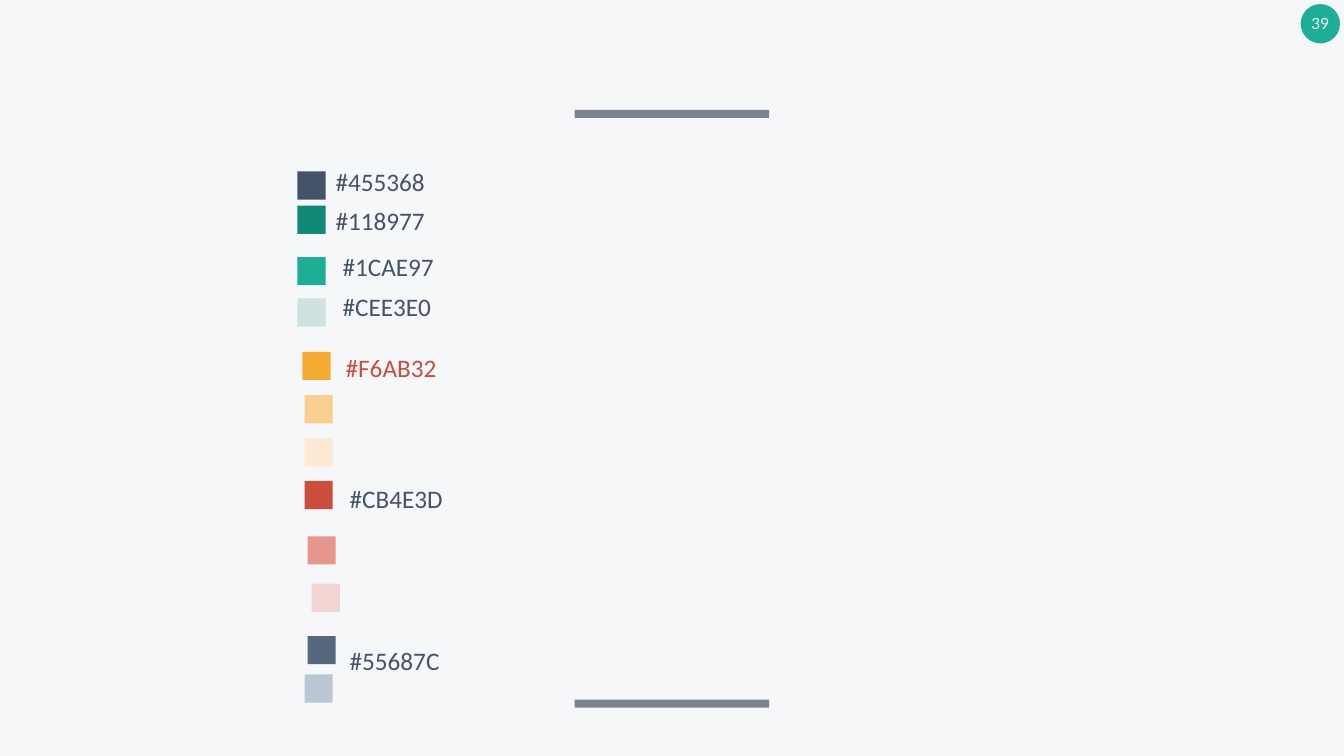
from pptx import Presentation
from pptx.dml.color import RGBColor
from pptx.enum.shapes import MSO_SHAPE
from pptx.enum.text import MSO_ANCHOR, PP_ALIGN
from pptx.util import Inches, Pt

# Content: swatch colour, swatch left and top, label left and top (None = no label)
SWATCHES = [
    ("455368", 2.95, 1.70, (3.23, 1.60)),
    ("118977", 2.95, 2.04, (3.23, 1.99)),
    ("1CAE97", 2.95, 2.55, (3.30, 2.44)),
    ("CEE3E0", 2.95, 2.96, (3.30, 2.84)),
    ("F6AB32", 3.00, 3.49, (3.33, 3.45)),
    ("FACE8F", 3.02, 3.92, None),
    ("FEEAD4", 3.02, 4.35, None),
    ("CB4E3D", 3.02, 4.77, (3.37, 4.75)),
    ("E7968E", 3.05, 5.32, None),
    ("F3D6D3", 3.09, 5.79, None),
    ("55687C", 3.05, 6.31, (3.37, 6.35)),
    ("BBC7D4", 3.02, 6.69, None),
]
HIGHLIGHTED = "F6AB32"
PAGE_NUMBER = "39"
BAR_TOPS = (1.09, 6.94)

SLIDE_WIDTH, SLIDE_HEIGHT = 13.33, 7.5
SWATCH_SIZE = 0.28
BADGE_SIZE = 0.39
BAR_WIDTH, BAR_HEIGHT = 1.93, 0.08
LABEL_WIDTH, LABEL_HEIGHT = 1.9, 0.4

THEME = {
    "background": "F5F7F9",
    "badge": "1DAE97",
    "bar": "7C8390",
    "text": "455368",
    "highlight": "CB4E3D",
    "label_font": "Calibri",
    "label_size": 18,
    "badge_font": "Lato",
    "badge_size": 11,
}


def add_block(slide, kind, left, top, width, height, color):
    shape = slide.shapes.add_shape(
        kind, Inches(left), Inches(top), Inches(width), Inches(height))
    shape.shadow.inherit = False
    shape.fill.solid()
    shape.fill.fore_color.rgb = RGBColor.from_string(color)
    shape.line.fill.background()
    return shape


def write_text(frame, text, *, font, size, color, align=PP_ALIGN.LEFT):
    paragraph = frame.paragraphs[0]
    paragraph.alignment = align
    run = paragraph.add_run()
    run.text = text
    run.font.name = font
    run.font.size = Pt(size)
    run.font.color.rgb = RGBColor.from_string(color)


def add_page_badge(slide):
    badge = add_block(slide, MSO_SHAPE.OVAL, 12.9, 0.04, BADGE_SIZE, BADGE_SIZE,
                      THEME["badge"])
    frame = badge.text_frame
    frame.margin_left = frame.margin_right = 0
    frame.margin_top = frame.margin_bottom = 0
    frame.word_wrap = False
    frame.vertical_anchor = MSO_ANCHOR.MIDDLE
    write_text(frame, PAGE_NUMBER, font=THEME["badge_font"], size=THEME["badge_size"],
               color=THEME["background"], align=PP_ALIGN.CENTER)


def add_label(slide, left, top, color):
    box = slide.shapes.add_textbox(
        Inches(left), Inches(top), Inches(LABEL_WIDTH), Inches(LABEL_HEIGHT))
    box.text_frame.word_wrap = True
    text_color = THEME["highlight" if color == HIGHLIGHTED else "text"]
    write_text(box.text_frame, f"#{color}", font=THEME["label_font"],
               size=THEME["label_size"], color=text_color)


def main():
    presentation = Presentation()
    presentation.slide_width = Inches(SLIDE_WIDTH)
    presentation.slide_height = Inches(SLIDE_HEIGHT)
    slide = presentation.slides.add_slide(presentation.slide_layouts[6])
    background = slide.background.fill
    background.solid()
    background.fore_color.rgb = RGBColor.from_string(THEME["background"])

    add_page_badge(slide)
    for top in BAR_TOPS:
        add_block(slide, MSO_SHAPE.RECTANGLE, (SLIDE_WIDTH - BAR_WIDTH) / 2, top,
                  BAR_WIDTH, BAR_HEIGHT, THEME["bar"])
    for color, left, top, label_position in SWATCHES:
        add_block(slide, MSO_SHAPE.RECTANGLE, left, top, SWATCH_SIZE, SWATCH_SIZE, color)
        if label_position:
            add_label(slide, *label_position, color)

    presentation.save("out.pptx")


if __name__ == "__main__":
    main()
